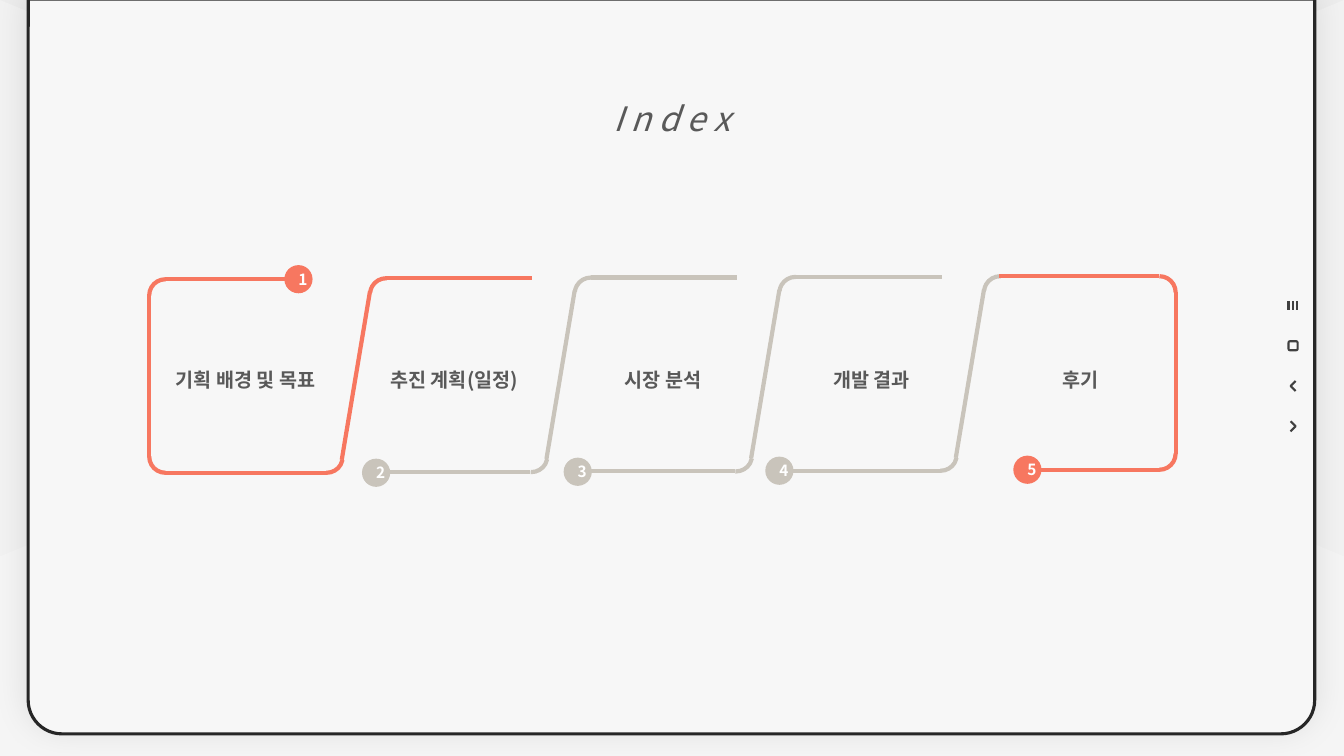
from dataclasses import dataclass

from lxml import etree
from pptx import Presentation
from pptx.dml.color import RGBColor
from pptx.enum.shapes import MSO_CONNECTOR, MSO_SHAPE
from pptx.enum.text import MSO_ANCHOR, MSO_AUTO_SIZE, PP_ALIGN
from pptx.oxml.ns import qn
from pptx.util import Inches, Pt

ARC, OVAL = MSO_SHAPE.ARC, MSO_SHAPE.OVAL
ROUNDED, FRAME = MSO_SHAPE.ROUNDED_RECTANGLE, MSO_SHAPE.ROUND_2_SAME_RECTANGLE
STRAIGHT = MSO_CONNECTOR.STRAIGHT
CENTER, MIDDLE = PP_ALIGN.CENTER, MSO_ANCHOR.MIDDLE
NO_FIT, GROW = MSO_AUTO_SIZE.NONE, MSO_AUTO_SIZE.SHAPE_TO_FIT_TEXT
TITLE_ONLY = 5


@dataclass(frozen=True)
class Theme:
    font: str = "Noto Sans CJK KR"
    background: str = "EDEDED"
    white: str = "FFFFFF"
    panel: str = "F7F7F7"
    border: str = "262626"
    icon: str = "404040"
    text: str = "595959"
    accent: str = "F77760"
    muted: str = "C9C4BB"
    title_size: float = 24
    label_size: float = 14
    number_size: float = 11
    border_width: float = 2.25
    icon_width: float = 1.5
    track_width: float = 3


@dataclass(frozen=True)
class Box:
    x: float
    y: float
    w: float
    h: float

    @property
    def right(self):
        return self.x + self.w

    @property
    def bottom(self):
        return self.y + self.h

    def emu(self):
        return [Inches(v) for v in (self.x, self.y, self.w, self.h)]


THEME = Theme()
SLIDE = Box(0, 0, 13.33, 7.5)
PANEL = Box(0.28, -0.01, 12.76, 7.29)
TRACK = Box(1.48, 2.74, 10.18, 1.95)
NAVIGATION = Box(12.78, 2.83, 0.09, 1.6)
COLUMN = 2.03
CORNER = 0.32
DRIFT = 0.02  # rise of the track from its first link to its last
LABELS = ["기획 배경 및 목표", "추진 계획(일정)", "시장 분석", "개발 결과", "후기"]
OUTER_ARC, INNER_ARC = (162, 1.17), (162, 0.95)
LOWER_ARC, UPPER_ARC = (168.61, 1.46), (166.35, 1.26)


def write(frame, text, size, color, bold=False, italic=False, spacing=None):
    frame.word_wrap = True
    paragraph = frame.paragraphs[0]
    paragraph.alignment = CENTER
    if spacing:
        paragraph.line_spacing = spacing
    run = paragraph.add_run()
    run.text = text
    font = run.font
    font.name, font.size = THEME.font, Pt(size)
    font.bold, font.italic = bold, italic
    font.color.rgb = RGBColor.from_string(color)
    etree.SubElement(font.latin_element if hasattr(font, "latin_element") else run.font._element,
                     qn("a:ea"), typeface=THEME.font)


def paint(shape, fill=None, line=None, width=0):
    shape.shadow.inherit = False
    if fill:
        shape.fill.solid()
        shape.fill.fore_color.rgb = RGBColor.from_string(fill)
    else:
        shape.fill.background()
    if line:
        shape.line.color.rgb = RGBColor.from_string(line)
        shape.line.width = Pt(width)
    else:
        shape.line.fill.background()


def add_preset(shapes, preset, box, adjustments=(), **style):
    shape = shapes.add_shape(preset, *box.emu())
    for index, value in enumerate(adjustments):
        shape.adjustments[index] = value
    paint(shape, **style)
    return shape


def add_outline(shapes, points, closed, **style):
    corners = [(Inches(x), Inches(y)) for x, y in points]
    builder = shapes.build_freeform(*corners[0], scale=1.0)
    builder.add_line_segments(corners[1:], close=closed)
    shape = builder.convert_to_shape()
    paint(shape, **style)
    return shape


def add_line(shapes, start, end, color, width):
    line = shapes.add_connector(STRAIGHT, *[Inches(v) for v in (*start, *end)])
    line.line.color.rgb = RGBColor.from_string(color)
    line.line.width = Pt(width)
    etree.SubElement(line.element.spPr, qn("a:effectLst"))


def add_corner(shapes, x, y, turn, arc, color):
    corner = add_preset(shapes, ARC, Box(x, y, CORNER, CORNER), arc,
                        line=color, width=THEME.track_width)
    corner.rotation = turn % 360


def add_backdrop(slide, box):
    slide.background.fill.solid()
    slide.background.fill.fore_color.rgb = RGBColor.from_string(THEME.background)
    slope = box.h * 0.736
    for high, low in ((box.right, box.x), (box.x, box.right)):
        points = [(high, box.y), (low, slope), (low, box.bottom), (high, box.bottom)]
        wedge = add_outline(slide.shapes, points, True, fill=THEME.white)
        tint = wedge.element.spPr.find(qn("a:solidFill"))[0]
        etree.SubElement(tint, qn("a:alpha"), val="28000")


def add_panel(slide, box):
    panel = add_preset(slide.shapes, FRAME, box, (0, 0.046), fill=THEME.panel,
                       line=THEME.border, width=THEME.border_width)
    effects = panel.element.spPr.find(qn("a:effectLst"))
    shadow = etree.SubElement(effects, qn("a:outerShdw"), blurRad=str(Pt(24)),
                              dist=str(Pt(3)), dir="16200000", rotWithShape="0")
    color = etree.SubElement(shadow, qn("a:srgbClr"), val="000000")
    etree.SubElement(color, qn("a:alpha"), val="10000")


def add_title(slide, box):
    title = slide.shapes.title
    title.left, title.top, title.width, title.height = box.emu()
    title.text_frame.auto_size = NO_FIT
    title.text_frame.vertical_anchor = MIDDLE
    write(title.text_frame, "I n d e x", THEME.title_size, THEME.text, italic=True)
    title.element.getparent().append(title.element)  # in front of the panel


def add_navigation(slide, box):
    """Four icons, one per row: menu, square, back and forward."""
    style = {"line": THEME.icon, "width": THEME.icon_width}
    menu, square, back, forward = [box.y + box.h / 4 * (row + 0.5) for row in range(4)]
    half = box.w / 2
    for bar in range(3):
        x = box.x + 0.04 * bar
        add_line(slide.shapes, (x, menu - half), (x, menu + half),
                 THEME.icon, THEME.icon_width)
    add_preset(slide.shapes, ROUNDED, Box(box.x, square - half, box.w, box.w), **style)
    left, right = box.x + 0.02, box.x + 0.07
    for y, tip, tail in ((back, left, right), (forward, right, left)):
        points = [(tail, y - 0.05), (tip, y), (tail, y + 0.05)]
        add_outline(slide.shapes, points, False, **style)


def add_link(slide, box, index):
    """Slanted link from the foot of one column to the head of the next."""
    shapes = slide.shapes
    color = THEME.muted if index else THEME.accent
    x = box.x + COLUMN * index
    rise = DRIFT * index / 3
    top, bottom = box.y + DRIFT - rise, box.bottom - rise
    if index > 0:
        add_line(shapes, (x + 0.16, bottom), (x + 1.75, bottom), color, THEME.track_width)
    add_corner(shapes, x + 1.6, bottom - CORNER, 90, LOWER_ARC, color)
    add_line(shapes, (x + 1.91, bottom - 0.13), (x + 2.19, top + 0.13),
             color, THEME.track_width)
    add_corner(shapes, x + 2.19, top, 270, UPPER_ARC, color)
    if index < 3:
        add_line(shapes, (x + 2.35, top), (x + 3.8, top), color, THEME.track_width)


def add_bracket(slide, box, flipped):
    """End of the track; flipped gives the right end, turned by half a circle."""
    def place(x, y, size=0):
        if flipped:
            return box.w + 2 * box.x - x - size, box.h + 2 * box.y - y - size
        return x, y

    half, top = CORNER / 2, box.y + 0.03
    turn = 180 if flipped else 0
    for y, angle, arc in ((top, 270, OUTER_ARC), (box.bottom - CORNER, 180, INNER_ARC)):
        add_corner(slide.shapes, *place(box.x, y, CORNER), angle + turn, arc, THEME.accent)
    for start, end in (((box.x + half, top), (box.x + 1.42, top)),
                       ((box.x, top + half), (box.x, box.bottom - half)),
                       ((box.x + half, box.bottom), (box.x + 1.75, box.bottom))):
        add_line(slide.shapes, place(*start), place(*end), THEME.accent, THEME.track_width)


def add_labels(slide, box):
    for index, label in enumerate(LABELS):
        cell = Box(box.x + 0.06 + 2.07 * index, box.y + 0.74, 1.79, 0.41)
        holder = slide.shapes.add_textbox(*cell.emu())
        holder.text_frame.auto_size = GROW
        write(holder.text_frame, label, THEME.label_size, THEME.text, bold=True, spacing=1.5)


def add_numbers(slide, box):
    lower = box.bottom - 0.14
    centers = [(1.34, box.y - 0.11), (2.11, lower), (4.11, lower - 0.01),
               (6.11, lower - 0.02), (8.57, lower - 0.03)]
    for number, (x, y) in enumerate(centers, 1):
        color = THEME.accent if number in (1, len(centers)) else THEME.muted
        dot = add_preset(slide.shapes, OVAL, Box(box.x + x, y, 0.28, 0.28), fill=color)
        dot.text_frame.vertical_anchor = MIDDLE
        write(dot.text_frame, str(number), THEME.number_size, THEME.white, bold=True)


def add_index_slide(deck):
    slide = deck.slides.add_slide(deck.slide_layouts[TITLE_ONLY])
    add_backdrop(slide, SLIDE)
    add_panel(slide, PANEL)
    add_title(slide, Box(PANEL.x, 0.92, PANEL.w, 0.5))
    add_navigation(slide, NAVIGATION)
    for index in range(len(LABELS) - 1):
        add_link(slide, TRACK, index)
    for flipped in (False, True):
        add_bracket(slide, TRACK, flipped)
    add_labels(slide, TRACK)
    add_numbers(slide, TRACK)


def main():
    deck = Presentation()
    deck.slide_width, deck.slide_height = Inches(SLIDE.w), Inches(SLIDE.h)
    add_index_slide(deck)
    deck.save("out.pptx")


if __name__ == "__main__":
    main()
